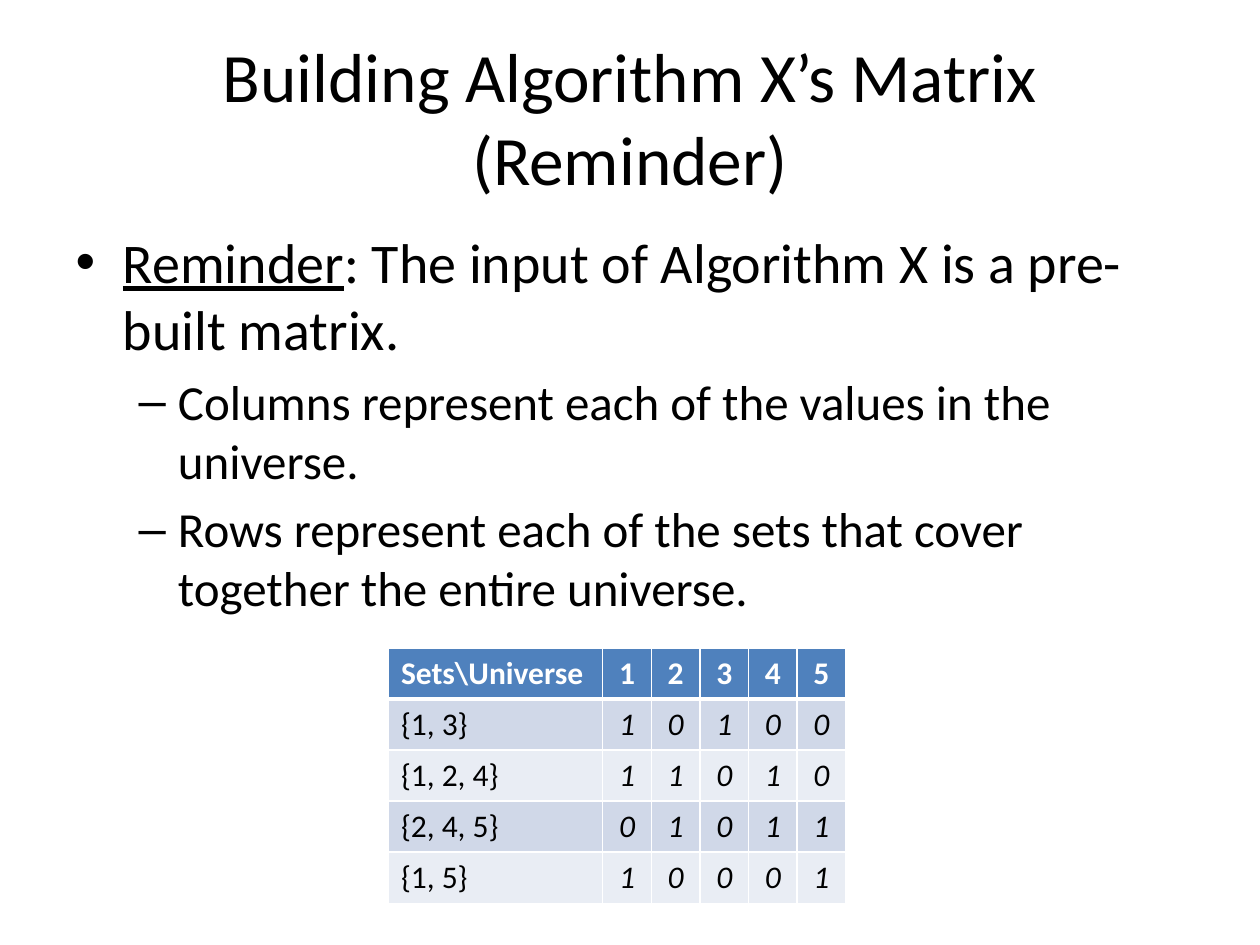
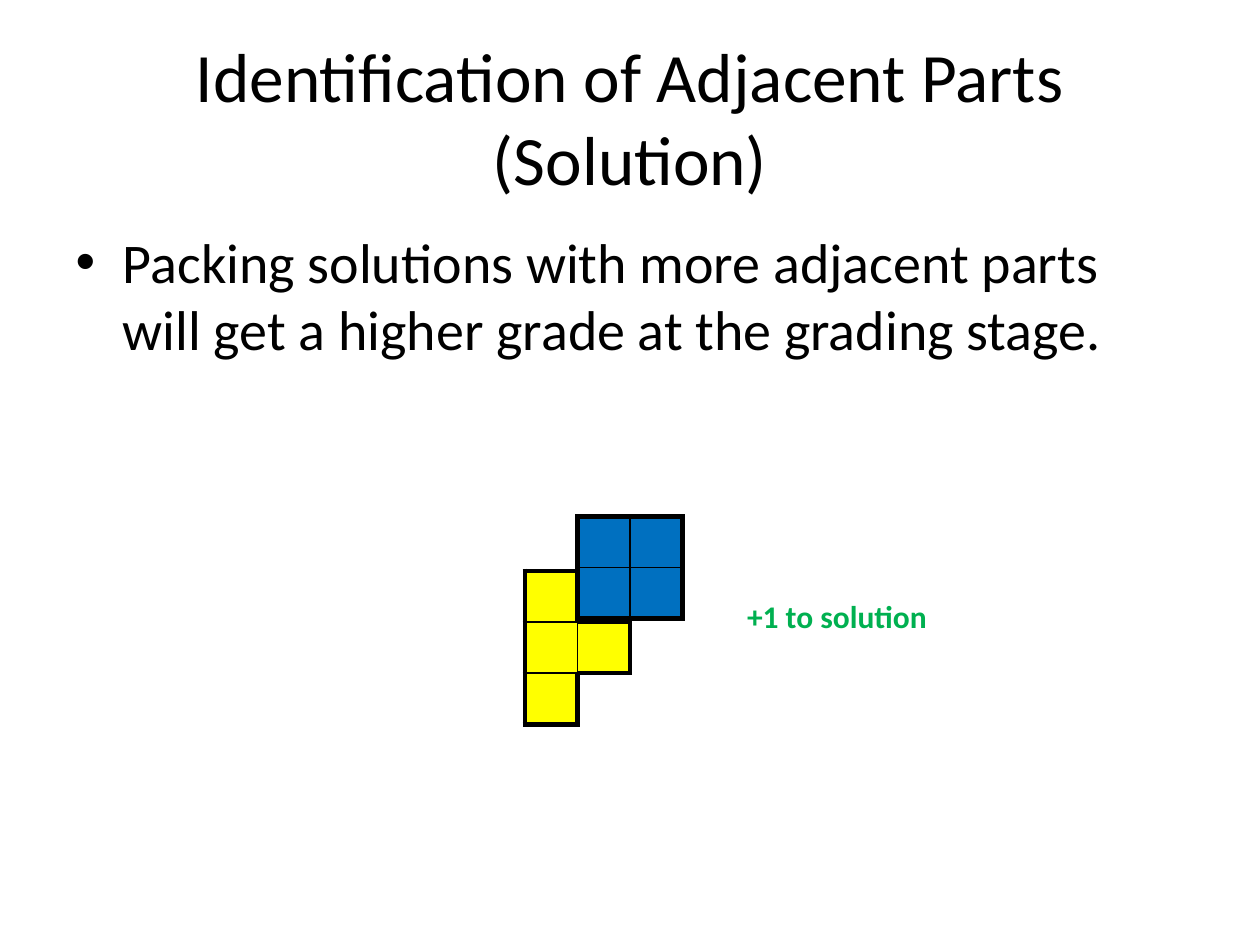
"""Build two slides on a cover matrix and on adjacent packing parts."""
from lxml import etree
from pptx import Presentation
from pptx.dml.color import RGBColor
from pptx.enum.text import MSO_ANCHOR, MSO_AUTO_SIZE, PP_ALIGN
from pptx.oxml.ns import qn
from pptx.util import Cm, Pt

CENTER = PP_ALIGN.CENTER
MIDDLE = MSO_ANCHOR.MIDDLE
NO_FIT = MSO_AUTO_SIZE.NONE
GROW = MSO_AUTO_SIZE.SHAPE_TO_FIT_TEXT
FONT = "Calibri"
BLACK = RGBColor(0x00, 0x00, 0x00)
WHITE = RGBColor(0xFF, 0xFF, 0xFF)
HEAD = RGBColor(0x4F, 0x81, 0xBD)
BANDS = [RGBColor(0xE9, 0xED, 0xF4), RGBColor(0xD0, 0xD8, 0xE8)]
BLUE = RGBColor(0x00, 0x70, 0xC0)
YELLOW = RGBColor(0xFF, 0xFF, 0x00)
GREEN = RGBColor(0x00, 0xB0, 0x50)
PLAIN = "{2D5ABB26-0587-4C30-8999-92F81FD0307C}"
ROW = Cm(1.03)


def grid(slide, left, top, widths, count):
    """Add a table without style and return it."""
    table = slide.shapes.add_table(
        count, len(widths), Cm(left), Cm(top), Cm(sum(widths)), ROW * count).table
    table.first_row = table.horz_banding = False
    table._tbl.tblPr.find(qn("a:tableStyleId")).text = PLAIN
    for col, width in zip(table.columns, widths):
        col.width = Cm(width)
    for row in table.rows:
        row.height = ROW
    return table


def paint(cell, fill, color, edges):
    """Draw the left, right, top and bottom edges of a cell, then fill it."""
    props = cell._tc.get_or_add_tcPr()
    for side, width in zip("LRTB", edges):
        if width:
            line = etree.SubElement(props, qn(f"a:ln{side}"), w=str(Pt(width)))
            solid = etree.SubElement(line, qn("a:solidFill"))
            etree.SubElement(solid, qn("a:srgbClr"), val=str(color))
    if fill is None:
        cell.fill.background()
    else:
        cell.fill.solid()
        cell.fill.fore_color.rgb = fill


deck = Presentation()
deck.slide_width, deck.slide_height = Cm(25.4), Cm(19.05)

pages = [
    ("Building Algorithm X’s Matrix (Reminder)", [
        (0, ["Reminder", ": The input of Algorithm X is a pre-built matrix."]),
        (1, ["Columns represent each of the values in the universe."]),
        (1, ["Rows represent each of the sets that cover together the entire universe."]),
    ]),
    ("Identification of Adjacent Parts (Solution)", [
        (0, ["Packing solutions with more adjacent parts will get a higher grade "
             "at the grading stage."]),
    ]),
]
for name, items in pages:
    slide = deck.slides.add_slide(deck.slide_layouts[1])
    title, body = slide.placeholders
    title.left, title.top, title.width, title.height = Cm(1.27), Cm(0.76), Cm(22.86), Cm(3.18)
    body.left, body.top, body.width, body.height = Cm(1.27), Cm(4.45), Cm(22.86), Cm(12.57)
    title.text = name
    title.text_frame.auto_size = body.text_frame.auto_size = NO_FIT
    title.text_frame.vertical_anchor = MIDDLE
    para = title.text_frame.paragraphs[0]
    para.alignment = CENTER
    para.font.name, para.font.size, para.font.color.rgb = FONT, Pt(39.6), BLACK
    for num, (level, parts) in enumerate(items):
        para = body.text_frame.add_paragraph() if num else body.text_frame.paragraphs[0]
        para.level = level
        para.font.name, para.font.size, para.font.color.rgb = FONT, Pt(32 - 4 * level), BLACK
        for part in parts:
            run = para.add_run()
            run.text = part
            if part == "Reminder":
                run.font.underline = True

first, second = deck.slides

matrix = [
    ["Sets\\Universe", "1", "2", "3", "4", "5"],
    ["{1, 3}", "1", "0", "1", "0", "0"],
    ["{1, 2, 4}", "1", "1", "0", "1", "0"],
    ["{2, 4, 5}", "0", "1", "0", "1", "1"],
    ["{1, 5}", "1", "0", "0", "0", "1"],
]
table = grid(first, 7.83, 13.06, [4.32] + [0.98] * 5, len(matrix))
for r, texts in enumerate(matrix):
    for c, text in enumerate(texts):
        cell = table.cell(r, c)
        edges = [1, 1, 3 if r == 1 else 1, 1 if r else 3]
        paint(cell, BANDS[r % 2] if r else HEAD, WHITE, edges)
        cell.text = text
        para = cell.text_frame.paragraphs[0]
        font = para.font
        font.name, font.size, font.color.rgb = FONT, Pt(18), BLACK if r else WHITE
        font.bold, font.italic = r == 0, r > 0 and c > 0
        if c:
            para.alignment = CENTER

pieces = [
    (11.64, 10.41, BLUE, ["##", "##"]),
    (10.58, 11.51, YELLOW, ["#.", "##", "#."]),
]
for left, top, color, rows in pieces:
    table = grid(second, left, top, [1.06] * 2, len(rows))
    full = {(r, c) for r, row in enumerate(rows) for c, mark in enumerate(row) if mark == "#"}
    for r in range(len(rows)):
        for c in range(2):
            inside = (r, c) in full
            near = [(r, c - 1), (r, c + 1), (r - 1, c), (r + 1, c)]
            edges = [(0, 3, 1)[inside + (spot in full)] for spot in near]
            paint(table.cell(r, c), color if inside else None, BLACK, edges)

note = second.shapes.add_textbox(Cm(14.81), Cm(11.91), Cm(4.45), Cm(1.03))
note.text_frame.word_wrap = True
note.text_frame.auto_size = GROW
para = note.text_frame.paragraphs[0]
para.text = "+1 to solution"
para.font.name, para.font.size, para.font.bold = FONT, Pt(18), True
para.font.color.rgb = GREEN

deck.save("out.pptx")
